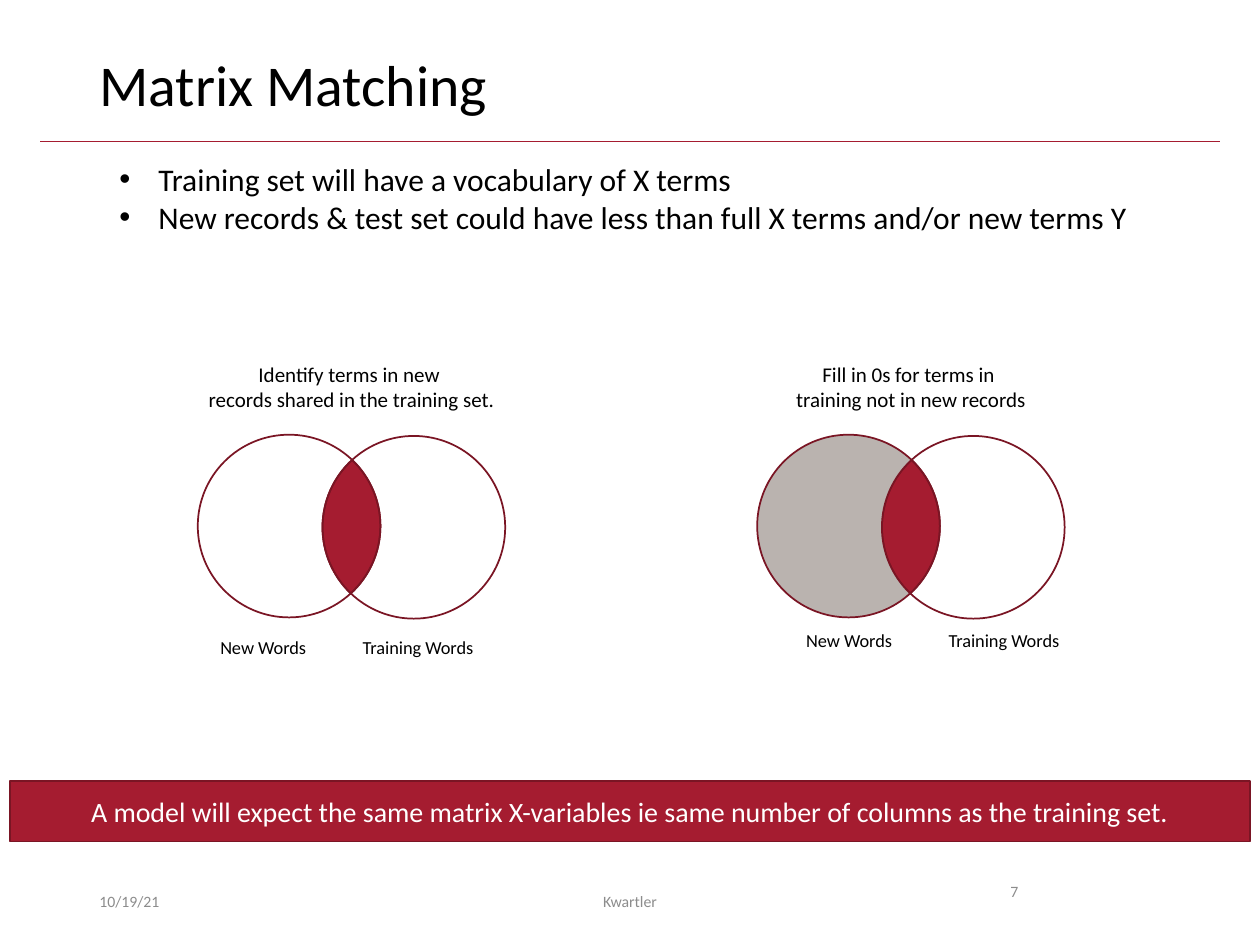
from dataclasses import dataclass
from math import acos, atan2, ceil, cos, floor, hypot, pi, sin, tan

from lxml import etree
from pptx import Presentation
from pptx import util as u
from pptx.dml.color import RGBColor
from pptx.enum import shapes, text
from pptx.oxml import ns

CRIMSON = RGBColor(0xA5, 0x1C, 0x30)
DARK_CRIMSON = RGBColor(0x7A, 0x15, 0x24)
STONE = RGBColor(0xBA, 0xB3, 0xAF)
GREY = RGBColor(0x8C, 0x8C, 0x8C)
BLACK = RGBColor(0, 0, 0)
WHITE = RGBColor(255, 255, 255)

FONT = "Calibri"
WIDTH, HEIGHT = 10, 7.5
MARGIN = 0.69
FOOTER_TOP = 6.95
RADIUS = 0.725
CIRCLE_GAP = (0.99, 0.01)
LEFT, CENTER = text.PP_ALIGN.LEFT, text.PP_ALIGN.CENTER
TOP, MIDDLE = text.MSO_ANCHOR.TOP, text.MSO_ANCHOR.MIDDLE

Point = tuple[float, float]


@dataclass(frozen=True)
class Label:
    lines: tuple[str, ...]
    box: tuple[float, float, float, float]
    size: float
    color: RGBColor = BLACK
    align: text.PP_ALIGN = LEFT
    anchor: text.MSO_ANCHOR = TOP
    spacing: float = 1.0
    wrap: bool = True
    bullets: bool = False


@dataclass(frozen=True)
class Venn:
    center: Point
    new_words_fill: RGBColor | None
    caption: tuple[str, ...]
    caption_width: float
    names_left: float
    names_top: float


def write(frame, label: Label) -> None:
    frame.word_wrap = label.wrap
    frame.vertical_anchor = label.anchor
    if not label.wrap:
        frame.auto_size = text.MSO_AUTO_SIZE.SHAPE_TO_FIT_TEXT
    for index, line in enumerate(label.lines):
        paragraph = frame.add_paragraph() if index else frame.paragraphs[0]
        paragraph.text = line
        paragraph.alignment = label.align
        paragraph.line_spacing = label.spacing
        paragraph.font.name = FONT
        paragraph.font.size = u.Pt(label.size)
        paragraph.font.color.rgb = label.color
        if label.bullets:
            properties = paragraph._p.get_or_add_pPr()
            indent = u.Inches(0.31)
            properties.set("marL", str(indent))
            properties.set("indent", str(-indent))
            font = etree.SubElement(properties, ns.qn("a:buFont"))
            font.set("typeface", "Arial")
            bullet = etree.SubElement(properties, ns.qn("a:buChar"))
            bullet.set("char", "•")
            # Default run properties come last in a paragraph's properties
            properties.append(properties.find(ns.qn("a:defRPr")))


def add_label(slide, label: Label) -> None:
    box = slide.shapes.add_textbox(*map(u.Inches, label.box))
    write(box.text_frame, label)


def paint(shape, fill: RGBColor | None) -> None:
    shape.shadow.inherit = False
    if fill is None:
        shape.fill.background()
    else:
        shape.fill.solid()
        shape.fill.fore_color.rgb = fill
    shape.line.color.rgb = DARK_CRIMSON
    shape.line.width = u.Pt(1)


def arc(center: Point, start: float, end: float) -> list[Point]:
    """Bezier points of a circle's arc, split where it meets the axes."""
    quarter = pi / 2
    splits = range(floor(start / quarter) + 1, ceil(end / quarter))
    angles = [start, *(k * quarter for k in splits), end]

    def at(angle: float, pull: float = 0) -> Point:
        return (center[0] + RADIUS * (cos(angle) - pull * sin(angle)),
                center[1] + RADIUS * (sin(angle) + pull * cos(angle)))

    points = [at(start)]
    for a, b in zip(angles, angles[1:]):
        pull = 4 / 3 * tan((b - a) / 4)
        points += [at(a, pull), at(b, -pull), at(b)]
    return points


def add_region(slide, first: list[Point], second: list[Point], fill: RGBColor | None) -> None:
    points = [(u.Inches(x), u.Inches(y)) for x, y in first + second[1:]]
    builder = slide.shapes.build_freeform(*points[0])
    builder.add_line_segments(points[1:], close=True)
    shape = builder.convert_to_shape()
    # Every three points after the start make one curve
    segments = list(shape._element.iter(ns.qn("a:lnTo")))
    for i in range(0, len(segments), 3):
        curve = etree.Element(ns.qn("a:cubicBezTo"))
        segments[i].addprevious(curve)
        for segment in segments[i:i + 3]:
            curve.append(segment[0])
            segment.getparent().remove(segment)
    paint(shape, fill)


def add_venn(slide, venn: Venn) -> None:
    # Regions are bounded by the arcs between the two crossing points
    x, y = venn.center
    dx, dy = CIRCLE_GAP
    new = (x - dx / 2, y - dy / 2)
    training = (x + dx / 2, y + dy / 2)
    tilt = atan2(dy, dx)
    half = acos(hypot(dx, dy) / 2 / RADIUS)
    new_inner = arc(new, tilt - half, tilt + half)
    new_outer = arc(new, tilt + half, tilt + 2 * pi - half)
    training_inner = arc(training, tilt + pi - half, tilt + pi + half)
    training_outer = arc(training, tilt + pi + half, tilt + 3 * pi - half)
    add_region(slide, new_inner, training_inner, CRIMSON)
    add_region(slide, new_outer, training_inner[::-1], venn.new_words_fill)
    add_region(slide, training_outer, new_inner[::-1], None)

    # Caption above, set names below
    width = venn.caption_width
    add_label(slide, Label(venn.caption, (x - width / 2, 2.82, width, 0.5), 12,
                           align=CENTER, wrap=False))
    for name, offset, name_width in (("Training Words", 1.13, 1.11), ("New Words", 0, 0.9)):
        box = (venn.names_left + offset, venn.names_top, name_width, 0.28)
        add_label(slide, Label((name,), box, 10.5, wrap=False))


LABELS = (
    Label(("10/19/21",), (MARGIN, FOOTER_TOP, 2.25, 0.4), 9, GREY, anchor=MIDDLE),
    Label(("Matrix Matching",), (MARGIN, 0.4, WIDTH - 2 * MARGIN, 0.65), 33, spacing=0.9),
    Label(("Kwartler",), (3.31, FOOTER_TOP, 3.38, 0.4), 9, GREY, CENTER, MIDDLE),
    Label(("7",), (7.92, FOOTER_TOP, 0.94, 0.4), 9, GREY),
    Label(("Training set will have a vocabulary of X terms",
           "New records & test set could have less than full X terms and/or new terms Y"),
          (0.85, 1.22, 8.3, 0.71), 18, wrap=False, bullets=True),
)
BANNER = Label(
    ("A model will expect the same matrix X-variables ie same number of columns "
     "as the training set.",),
    (0.08, 6.2, 9.84, 0.48), 16, WHITE, CENTER, MIDDLE)
VENNS = (
    Venn((2.79, 4.18), None,
         ("Identify terms in new ", "records shared in the training set."), 2.49, 1.65, 5),
    Venn((7.23, 4.18), STONE,
         ("Fill in 0s for terms in ", "training not in new records"), 2.04, 6.3, 4.94),
)


def main() -> None:
    presentation = Presentation()
    presentation.slide_width = u.Inches(WIDTH)
    presentation.slide_height = u.Inches(HEIGHT)
    slide = presentation.slides.add_slide(presentation.slide_layouts[6])

    # Rule under the title
    rule = slide.shapes.add_connector(
        shapes.MSO_CONNECTOR.STRAIGHT, *map(u.Inches, (0.32, 1.12, WIDTH - 0.32, 1.12)))
    rule.line.color.rgb = CRIMSON
    rule.line.width = u.Pt(0.5)
    etree.SubElement(rule._element.spPr, ns.qn("a:effectLst"))

    # Title, bullets and footer
    for label in LABELS:
        add_label(slide, label)

    # Takeaway banner
    banner = slide.shapes.add_shape(
        shapes.MSO_SHAPE.RECTANGLE, *map(u.Inches, BANNER.box))
    paint(banner, CRIMSON)
    write(banner.text_frame, BANNER)

    # Venn diagrams
    for venn in VENNS:
        add_venn(slide, venn)

    presentation.save("out.pptx")


main()
